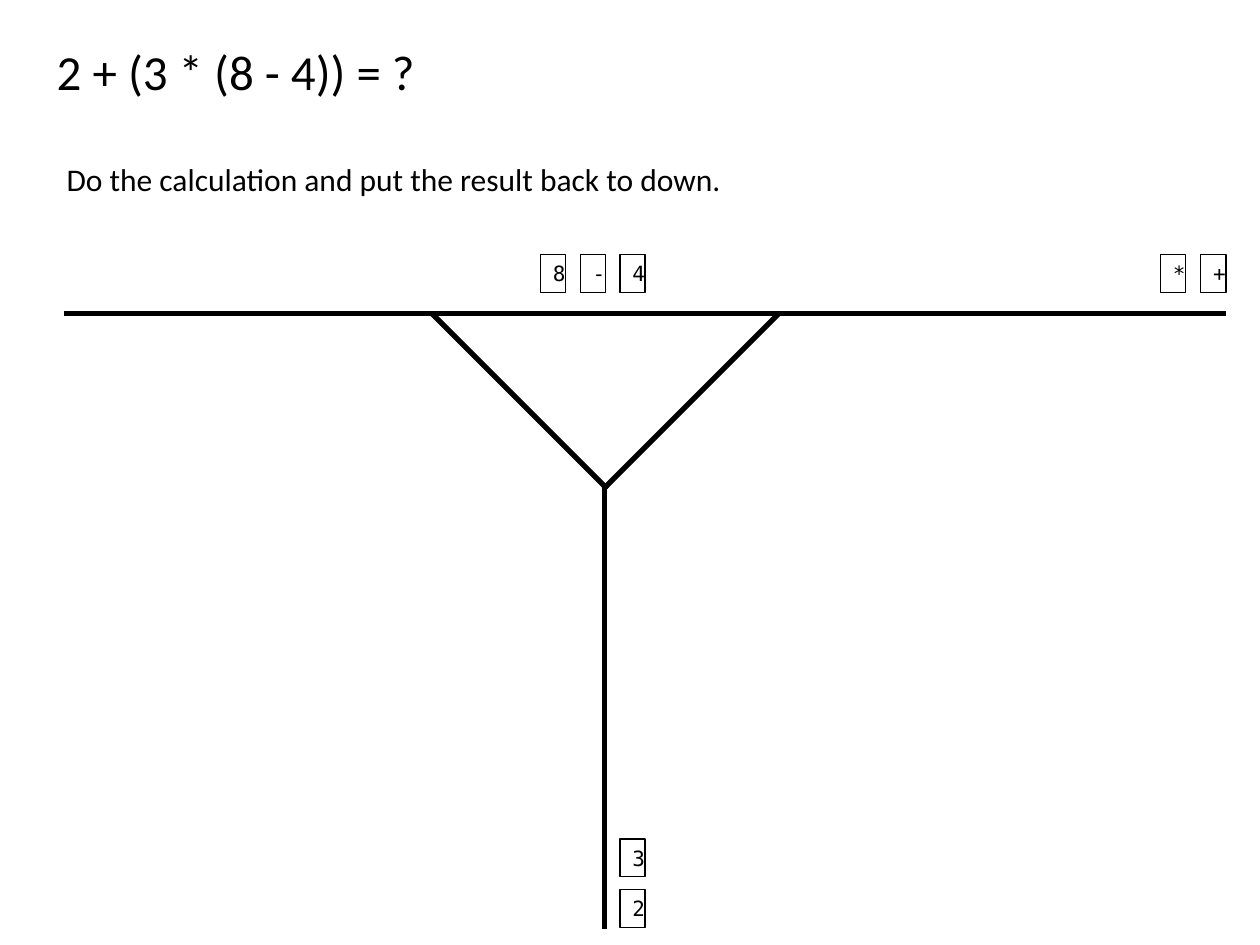
from lxml import etree
from pptx import Presentation
from pptx.dml.color import RGBColor
from pptx.enum import shapes, text
from pptx.oxml import ns
from pptx.util import Inches, Pt

THEME = {
    "ink": RGBColor(0, 0, 0),
    "sans": "Calibri", "mono": "DejaVu Sans Mono",
    "title": 28, "note": 18, "token": 12,
    "edge": 0.75, "track": 3,
}

TITLE = ("2 + (3 * (8 - 4)) = ?", (0.35, 0.28, 6.69, 0.57))
NOTE = ("Do the calculation and put the result back to down.",
        (0.43, 1.22, 9.37, 0.4))

# Tokens, left of first tile, top of first tile, step across, step down
QUEUES = [
    ("32", 4.92, 6.66, 0, 0.4),
    ("8-4", 4.29, 2.02, 0.315, 0),
    ("*+", 9.21, 2.02, 0.32, 0),
]
TILE = (0.2, 0.3)

TRACKS = [
    (9.73, 2.49, 0.51, 2.49),
    (3.43, 2.49, 4.82, 3.88),
    (6.18, 2.49, 4.79, 3.88),
    (4.8, 3.83, 4.8, 7.37),
]

FRAME = {
    "margin_left": Inches(0.1), "margin_right": Inches(0.1),
    "margin_top": Inches(0.05), "margin_bottom": Inches(0.05),
    "word_wrap": True,
    "auto_size": text.MSO_AUTO_SIZE.SHAPE_TO_FIT_TEXT,
}


def inches(vals):
    return [Inches(v) for v in vals]


def write(shape, words, face, size, align=text.PP_ALIGN.LEFT,
          anchor=text.MSO_ANCHOR.TOP):
    frame = shape.text_frame
    for name, val in {**FRAME, "vertical_anchor": anchor}.items():
        setattr(frame, name, val)
    para = frame.paragraphs[0]
    para.alignment = align
    run = para.add_run()
    run.text = words
    look = {"name": THEME[face], "size": Pt(THEME[size])}
    for name, val in look.items():
        setattr(run.font, name, val)
    run.font.color.rgb = THEME["ink"]


def stroke(shape, width):
    shape.line.color.rgb = THEME["ink"]
    shape.line.width = Pt(THEME[width])


def add_tile(slide, sign, left, top):
    tile = slide.shapes.add_shape(shapes.MSO_SHAPE.RECTANGLE,
                                  *inches((left, top, *TILE)))
    tile.shadow.inherit = False
    tile.fill.background()
    stroke(tile, "edge")
    write(tile, sign, "mono", "token", text.PP_ALIGN.CENTER,
          text.MSO_ANCHOR.MIDDLE)


def add_track(slide, ends):
    track = slide.shapes.add_connector(shapes.MSO_CONNECTOR.STRAIGHT,
                                       *inches(ends))
    stroke(track, "track")
    etree.SubElement(track._element.spPr, ns.qn("a:effectLst"))


def main():
    deck = Presentation()
    deck.slide_width, deck.slide_height = inches((10, 7.5))
    slide = deck.slides.add_slide(deck.slide_layouts[5])

    words, box = TITLE
    title = slide.shapes.title
    title.left, title.top, title.width, title.height = inches(box)
    write(title, words, "sans", "title")

    words, box = NOTE
    write(slide.shapes.add_textbox(*inches(box)), words, "sans", "note")

    for signs, left, top, across, down in QUEUES:
        for i, sign in enumerate(signs):
            add_tile(slide, sign, left + i * across, top + i * down)

    for ends in TRACKS:
        add_track(slide, ends)
    deck.save("out.pptx")


if __name__ == "__main__":
    main()
